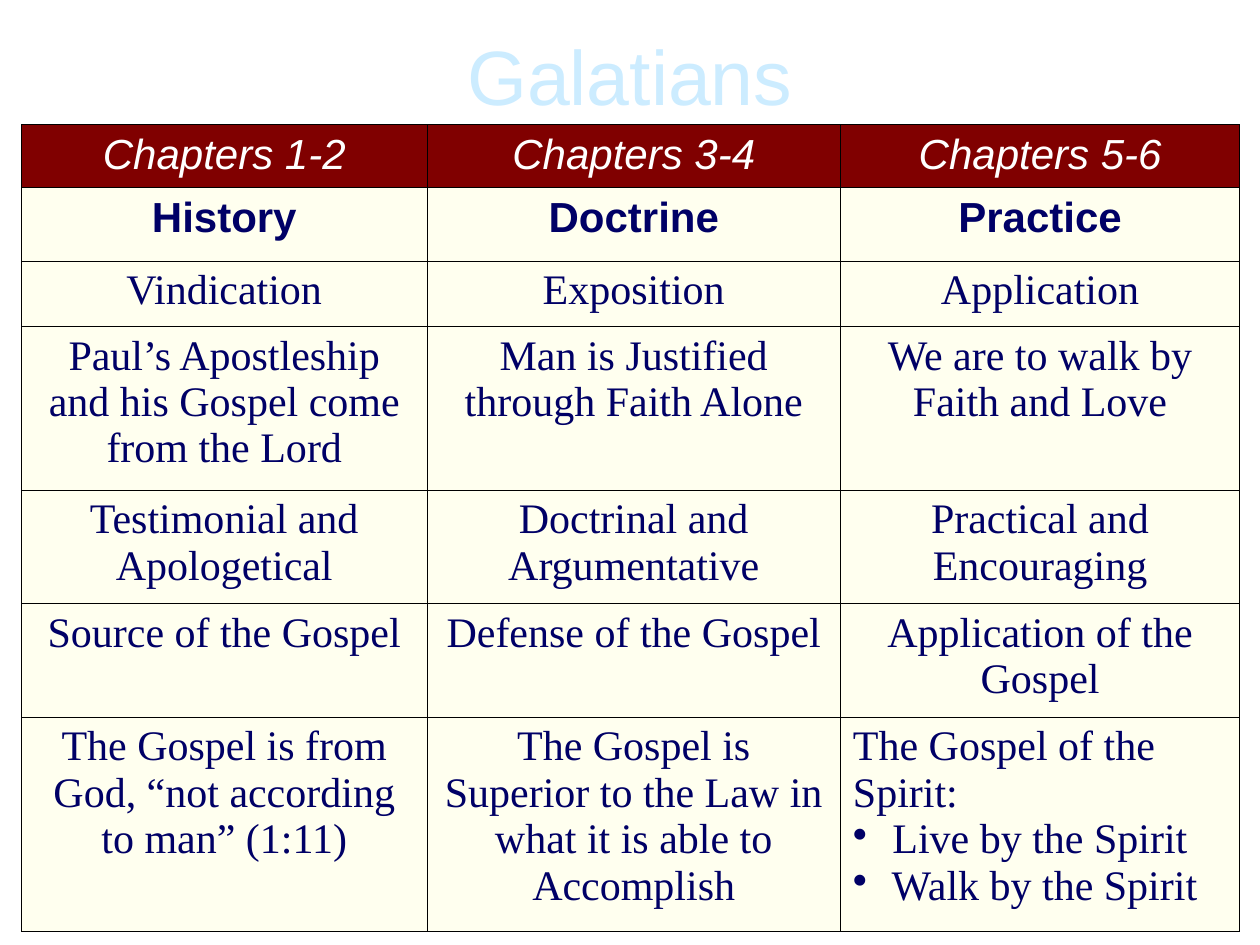
from dataclasses import dataclass

import pptx
import pptx.dml.color
import pptx.enum.text
import pptx.oxml
import pptx.oxml.ns
import pptx.util

Inches = pptx.util.Inches
Align = pptx.enum.text.PP_ALIGN


@dataclass(frozen=True)
class Theme:
    title: str = "CCECFF"
    header_fill: str = "800000"
    body_fill: str = "FFFFEF"
    header_text: str = "FFFFFF"
    body_text: str = "000066"
    border: str = "000000"
    border_width: float = 0.45
    sans: str = "Arial"
    serif: str = "Times New Roman"
    title_size: int = 44
    table_size: int = 24


THEME = Theme()


@dataclass(frozen=True)
class TextStyle:
    font: str
    size: int
    color: str
    bold: bool = False
    italic: bool = False


@dataclass(frozen=True)
class Row:
    height: float
    texts: tuple
    style: TextStyle
    fill: str = THEME.body_fill


@dataclass(frozen=True)
class BulletList:
    lead: str
    items: tuple


TITLE = TextStyle(THEME.sans, THEME.title_size, THEME.title)
HEADER = TextStyle(THEME.sans, THEME.table_size, THEME.header_text, italic=True)
TOPIC = TextStyle(THEME.sans, THEME.table_size, THEME.body_text, bold=True)
BODY = TextStyle(THEME.serif, THEME.table_size, THEME.body_text)

COLUMN_WIDTHS = (3.22, 3.28, 3.17)
ROWS = (
    Row(0.5, ("Chapters 1-2", "Chapters 3-4", "Chapters 5-6"), HEADER, THEME.header_fill),
    Row(0.58, ("History", "Doctrine", "Practice"), TOPIC),
    Row(0.52, ("Vindication", "Exposition", "Application"), BODY),
    Row(1.3, ("Paul’s Apostleship and his Gospel come from the Lord",
              "Man is Justified through Faith Alone",
              "We are to walk by Faith and Love"), BODY),
    Row(0.9, ("Testimonial and Apologetical",
              "Doctrinal and Argumentative",
              "Practical and Encouraging"), BODY),
    Row(0.9, ("Source of the Gospel", "Defense of the Gospel",
              "Application of the Gospel"), BODY),
    Row(1.7, ("The Gospel is from God, “not according to man” (1:11)",
              "The Gospel is Superior to the Law in what it is able to Accomplish",
              BulletList("The Gospel of the Spirit:",
                         (" Live by the Spirit", " Walk by the Spirit"))), BODY),
)


def rgb(value: str) -> pptx.dml.color.RGBColor:
    return pptx.dml.color.RGBColor.from_string(value)


def write(para, text: str, style: TextStyle, align) -> None:
    para.alignment = align
    span = para.add_run()
    span.text = text
    span.font.name = style.font
    span.font.size = pptx.util.Pt(style.size)
    span.font.bold = style.bold
    span.font.italic = style.italic
    span.font.color.rgb = rgb(style.color)


def add_bullet(para, color: str, indent: float) -> None:
    properties = para._p.get_or_add_pPr()
    properties.set("marL", str(Inches(indent)))
    properties.set("indent", str(-Inches(indent)))
    namespace = pptx.oxml.ns.nsdecls("a")
    for markup in (f'<a:buClr {namespace}><a:srgbClr val="{color}"/></a:buClr>',
                   f'<a:buChar {namespace} char="•"/>'):
        properties.append(pptx.oxml.parse_xml(markup))


def add_borders(cell) -> None:
    properties = cell._tc.get_or_add_tcPr()
    width = int(pptx.util.Pt(THEME.border_width))
    for side in ("lnL", "lnR", "lnT", "lnB"):
        properties.append(pptx.oxml.parse_xml(
            f'<a:{side} {pptx.oxml.ns.nsdecls("a")} w="{width}"><a:solidFill>'
            f'<a:srgbClr val="{THEME.border}"/></a:solidFill></a:{side}>'))


def fill_cell(cell, content, row: Row) -> None:
    add_borders(cell)
    cell.fill.solid()
    cell.fill.fore_color.rgb = rgb(row.fill)
    frame = cell.text_frame
    if isinstance(content, BulletList):
        write(frame.paragraphs[0], content.lead, row.style, Align.LEFT)
        for item in content.items:
            para = frame.add_paragraph()
            add_bullet(para, row.style.color, 0.23)
            write(para, item, row.style, Align.LEFT)
    else:
        write(frame.paragraphs[0], content, row.style, Align.CENTER)


def add_title(page, text: str) -> None:
    box = page.shapes.add_textbox(Inches(0.5), Inches(0.2), Inches(9), Inches(0.78))
    frame = box.text_frame
    frame.word_wrap = True
    frame.vertical_anchor = pptx.enum.text.MSO_ANCHOR.MIDDLE
    write(frame.paragraphs[0], text, TITLE, Align.CENTER)


def add_outline_table(page) -> None:
    table = page.shapes.add_table(
        len(ROWS), len(COLUMN_WIDTHS), Inches(0.17), Inches(0.99),
        Inches(sum(COLUMN_WIDTHS)), Inches(sum(row.height for row in ROWS))).table
    table.first_row = False
    table.horz_banding = False
    for column, width in zip(table.columns, COLUMN_WIDTHS):
        column.width = Inches(width)
    for row_index, row in enumerate(ROWS):
        table.rows[row_index].height = Inches(row.height)
        for column_index, content in enumerate(row.texts):
            fill_cell(table.cell(row_index, column_index), content, row)


def main() -> None:
    deck = pptx.Presentation()
    deck.slide_width, deck.slide_height = Inches(10), Inches(7.5)
    page = deck.slides.add_slide(deck.slide_layouts[6])

    # Heading
    add_title(page, "Galatians")

    # Three-part outline of the book
    add_outline_table(page)

    deck.save("out.pptx")


if __name__ == "__main__":
    main()
